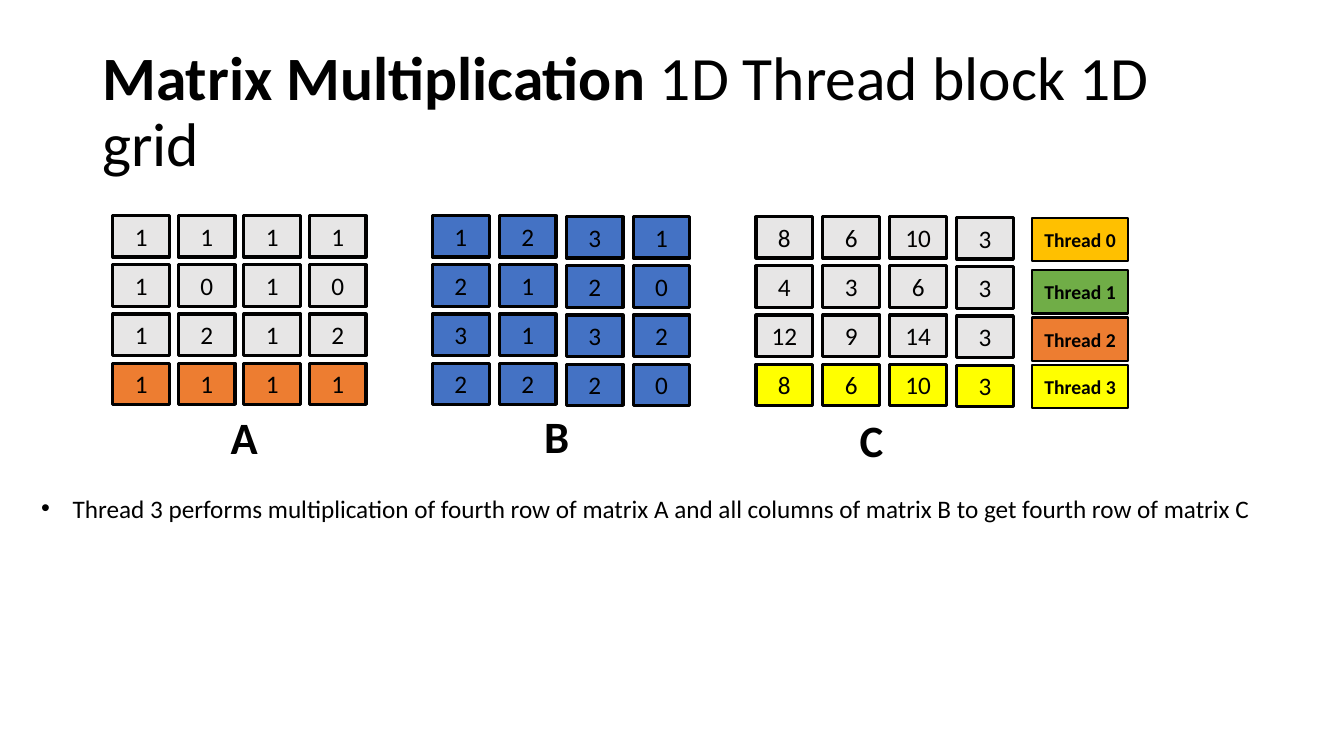
from lxml.etree import SubElement
from pptx import Presentation
from pptx.dml.color import RGBColor
from pptx.enum.shapes import MSO_SHAPE
from pptx.enum.text import MSO_ANCHOR, PP_ALIGN
from pptx.oxml.ns import qn
from pptx.util import Pt

BLACK = RGBColor(0x00, 0x00, 0x00)
GRAY = RGBColor(0xE7, 0xE6, 0xE6)
BLUE = RGBColor(0x44, 0x72, 0xC4)
ORANGE = RGBColor(0xED, 0x7D, 0x31)
YELLOW = RGBColor(0xFF, 0xFF, 0x00)
GOLD = RGBColor(0xFF, 0xC0, 0x00)
GREEN = RGBColor(0x70, 0xAD, 0x47)

CELL_WIDTH, CELL_HEIGHT, ROW_PITCH = 40.5, 29.5, 35.1


def add_text(shape, text, size=18, bold=False, align=PP_ALIGN.LEFT,
             anchor=MSO_ANCHOR.TOP, wrap=True):
    """Append a run to the shape's first paragraph and return the paragraph."""
    frame = shape.text_frame
    frame.word_wrap = wrap
    frame.vertical_anchor = anchor
    paragraph = frame.paragraphs[0]
    paragraph.alignment = align
    run = paragraph.add_run()
    run.text = text
    run.font.name = "Calibri"
    run.font.size = Pt(size)
    run.font.bold = bold
    run.font.color.rgb = BLACK
    return paragraph


def add_box(left, top, width, height, text, fill, line_width, **text_format):
    box = slide.shapes.add_shape(
        MSO_SHAPE.RECTANGLE, Pt(left), Pt(top), Pt(width), Pt(height))
    box.shadow.inherit = False
    box.fill.solid()
    box.fill.fore_color.rgb = fill
    box.line.color.rgb = BLACK
    box.line.width = Pt(line_width)
    add_text(box, text, align=PP_ALIGN.CENTER, anchor=MSO_ANCHOR.MIDDLE,
             **text_format)


presentation = Presentation()
presentation.slide_width = Pt(960)
presentation.slide_height = Pt(540)
slide = presentation.slides.add_slide(presentation.slide_layouts[6])

title = slide.shapes.add_textbox(Pt(66), Pt(28.75), Pt(828), Pt(104.4))
for text, bold in (("Matrix Multiplication ", True),
                   ("1D Thread block 1D grid", False)):
    paragraph = add_text(title, text, size=44, bold=bold,
                         anchor=MSO_ANCHOR.MIDDLE)
paragraph.line_spacing = 0.9

# Name, left, column pitch, top of each column, row fills, values, label place
matrices = [
    ("A", 80.6, 46.8, (154.1, 154.1, 154.1, 154.1), (GRAY, GRAY, GRAY, ORANGE),
     ((1, 1, 1, 1), (1, 0, 1, 0), (1, 2, 1, 2), (1, 1, 1, 1)),
     (157.7, 289.4)),
    ("B", 308.9, 47.8, (154.1, 154.1, 154.8, 154.8), (BLUE, BLUE, BLUE, BLUE),
     ((1, 2, 3, 1), (2, 1, 2, 0), (3, 1, 3, 2), (2, 2, 2, 0)),
     (381.6, 288.7)),
    ("C", 540, 47.8, (154.8, 154.8, 154.8, 155.5), (GRAY, GRAY, GRAY, YELLOW),
     ((8, 6, 10, 3), (4, 3, 6, 3), (12, 9, 14, 3), (8, 6, 10, 3)),
     (607, 290.9)),
]
for name, left, pitch, tops, fills, rows, (label_left, label_top) in matrices:
    for row, (values, fill) in enumerate(zip(rows, fills)):
        for column, (value, top) in enumerate(zip(values, tops)):
            add_box(left + column * pitch, top + row * ROW_PITCH,
                    CELL_WIDTH, CELL_HEIGHT, str(value), fill, 2.25)
    label = slide.shapes.add_textbox(
        Pt(label_left), Pt(label_top), Pt(33), Pt(46))
    add_text(label, name, size=32, bold=True, wrap=False)

thread_boxes = ((155.5, GOLD), (193, GREEN), (226.8, ORANGE), (260.6, YELLOW))
for number, (top, fill) in enumerate(thread_boxes):
    add_box(737.3, top, 68.4, 31, f"Thread {number}", fill, 1.5,
            size=14, bold=True)

explanation = slide.shapes.add_textbox(Pt(22.3), Pt(348.5), Pt(893.5), Pt(29))
properties = explanation.text_frame.paragraphs[0]._p.get_or_add_pPr()
properties.set("marL", str(Pt(22.5)))
properties.set("indent", str(Pt(-22.5)))
SubElement(properties, qn("a:buFont"), typeface="Arial")
SubElement(properties, qn("a:buChar"), char="•")
add_text(explanation, "Thread 3 performs multiplication of fourth row of "
         "matrix A and all columns of matrix B to get fourth row of matrix C")

presentation.save("out.pptx")
